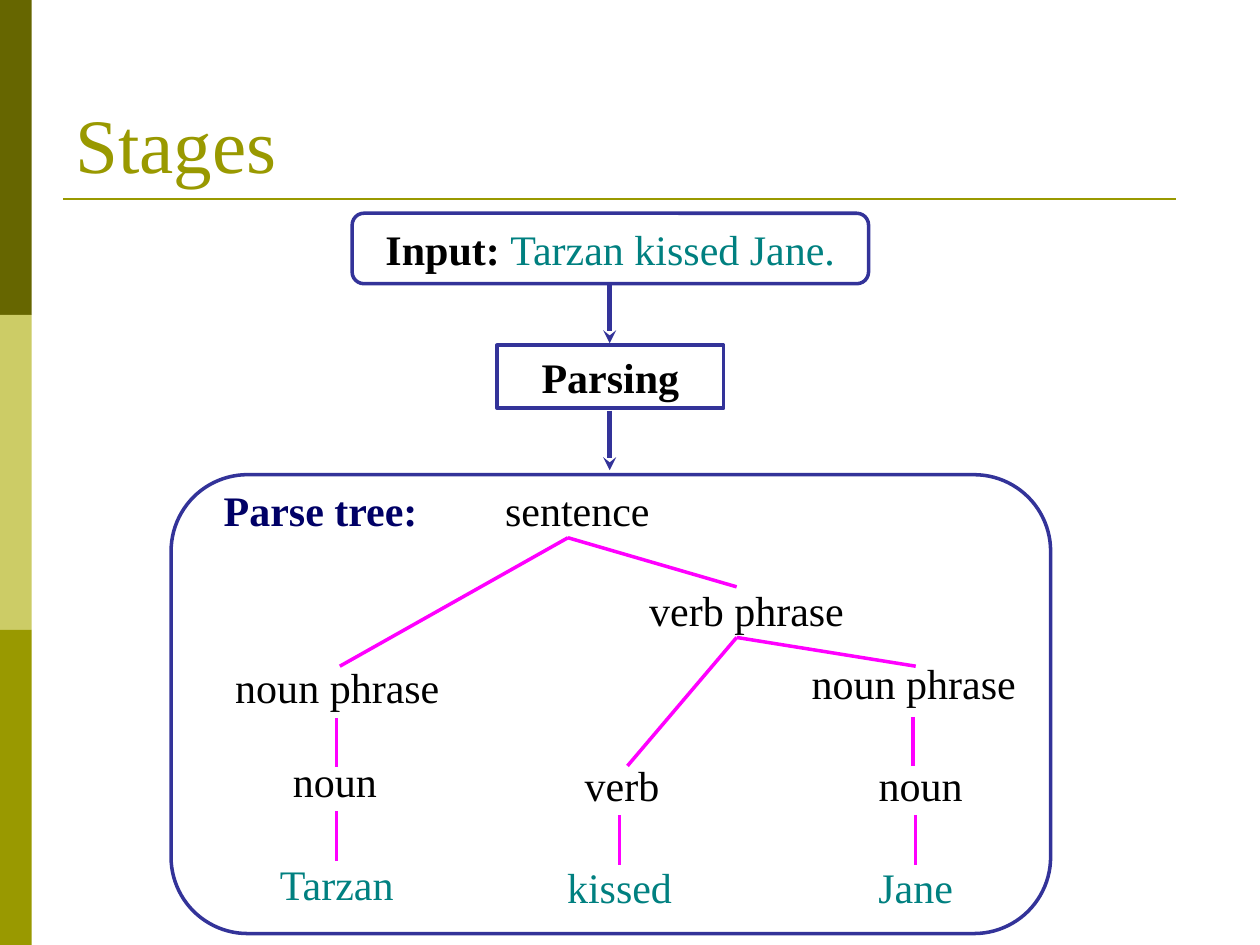
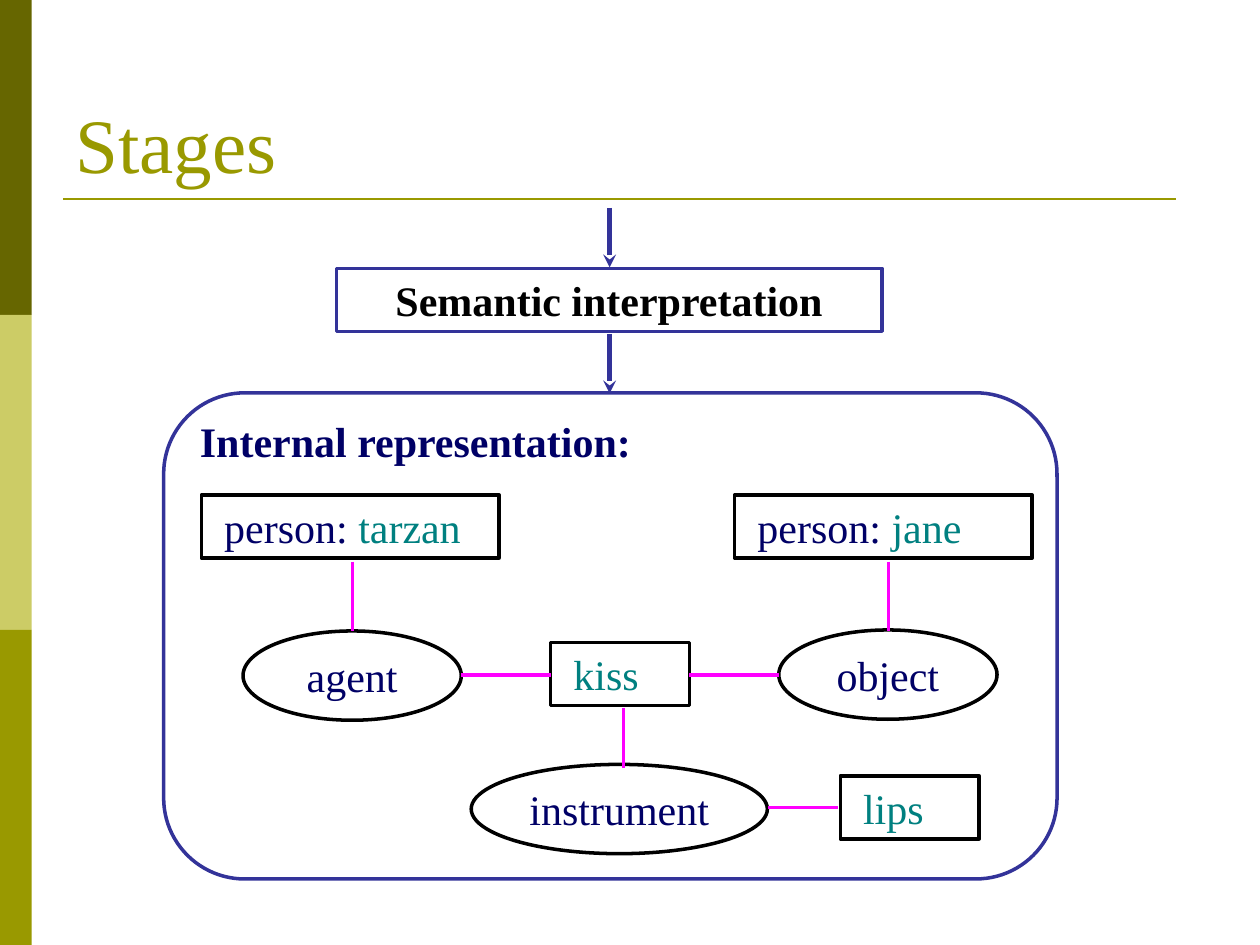
from pptx import Presentation
from pptx.dml.color import RGBColor
from pptx.enum.shapes import MSO_CONNECTOR as LINK, MSO_SHAPE as SHAPE
from pptx.enum.text import MSO_ANCHOR as ANCHOR, PP_ALIGN as ALIGN
from pptx.oxml.ns import qn
from pptx.util import Cm, Pt
from lxml.etree import SubElement

FONT = "Times New Roman"
INK = {
    "dark": "666600", "pale": "CCCC66", "olive": "999900",
    "black": "000000", "teal": "008080", "navy": "000066",
    "frame": "333399", "branch": "FF00FF",
}
MID = 12.29   # x of the flow arrows
ROW = 1.27    # height of a one-line box
DROP = 1.2    # length of a flow arrow


def color(name):
    return RGBColor.from_string(INK[name])


def write(shape, runs, align=ALIGN.CENTER, size=24, anchor=ANCHOR.MIDDLE,
          left=0.25, wrap=True):
    """Fill a shape with one paragraph of (text, ink, bold) runs."""
    frame = shape.text_frame
    frame.word_wrap = wrap
    frame.vertical_anchor = anchor
    frame.margin_left, frame.margin_right = Cm(left), Cm(0.25)
    frame.margin_top = frame.margin_bottom = Cm(0.13)
    par = frame.paragraphs[0]
    par.alignment = align
    for text, ink, bold in runs:
        run = par.add_run()
        run.text = text
        font = run.font
        font.name, font.size, font.bold = FONT, Pt(size), bold
        font.color.rgb = color(ink)


def label(slide, box, runs, **style):
    shape = slide.shapes.add_textbox(*map(Cm, box))
    write(shape, runs, **style)


def outline(slide, kind, box, ink="frame", runs=(), **style):
    shape = slide.shapes.add_shape(kind, *map(Cm, box))
    shape.shadow.inherit = False
    shape.fill.background()
    shape.line.color.rgb = color(ink)
    shape.line.width = Pt(2)
    if runs:
        write(shape, runs, **style)


def link(slide, start, end, ink="branch", width=2, arrow=False):
    line = slide.shapes.add_connector(LINK.STRAIGHT, *map(Cm, (*start, *end)))
    line.line.color.rgb = color(ink)
    line.line.width = Pt(width)
    if arrow:
        SubElement(line.line._get_or_add_ln(), qn("a:tailEnd"), type="stealth")
    SubElement(line._element.spPr, qn("a:effectLst"))


def flow(slide, top):
    link(slide, (MID, top), (MID, top + DROP), "frame", 2.5, arrow=True)


def base(deck, title):
    """Add a slide with the side bands, title and rule."""
    slide = deck.slides.add_slide(deck.slide_layouts[6])
    high = 19.05 / 3
    for i, ink in enumerate(("dark", "pale", "olive")):
        band = slide.shapes.add_shape(
            SHAPE.RECTANGLE, 0, Cm(i * high), Cm(0.64), Cm(high))
        band.shadow.inherit = False
        band.fill.solid()
        band.fill.fore_color.rgb = color(ink)
        band.line.fill.background()
    link(slide, (1.27, 4.01), (23.7, 4.01), "olive", 1.5)
    label(slide, (1.27, 0.76, 22.86, 3.18), [(title, "olive", False)],
          align=ALIGN.LEFT, size=44, anchor=ANCHOR.BOTTOM)
    return slide


def tree(slide, box):
    """Draw the parse tree inside its frame."""
    x, y = box[:2]
    outline(slide, SHAPE.ROUNDED_RECTANGLE, box)
    label(slide, (x + 0.81, y + 0.08, 4.8, ROW),
          [("Parse tree:", "navy", True)], align=ALIGN.LEFT)

    # Nodes: text, centre, top, ink
    nodes = [
        ("sentence", 8.19, 0.08, "black"),
        ("verb phrase", 11.6, 2.08, "black"),
        ("noun phrase", 14.97, 3.56, "black"),
        ("noun phrase", 3.35, 3.63, "black"),
        ("verb", 9.09, 5.61, "black"),
        ("noun", 15.11, 5.61, "black"),
        ("noun", 3.3, 5.54, "black"),
        ("Tarzan", 3.34, 7.62, "teal"),
        ("kissed", 9.04, 7.67, "teal"),
        ("Jane", 15.01, 7.67, "teal"),
    ]
    for text, mid, top, ink in nodes:
        wide = 5.2 if "phrase" in text else 3.6
        label(slide, (x + mid - wide / 2, y + top, wide, ROW),
              [(text, ink, False)])

    # Forks: apex, then the ends of its two branches
    forks = [
        ((8, 1.27), (3.4, 3.86), (11.4, 2.26)),
        ((11.4, 3.28), (9.2, 5.87), (15.01, 3.86)),
    ]
    for apex, *ends in forks:
        for end in ends:
            link(slide, (x + apex[0], y + apex[1]), (x + end[0], y + end[1]))

    # Stems: equal upright lines
    stems = [(3.33, 4.9), (3.33, 6.78), (9.04, 6.86),
             (14.96, 4.88), (15.01, 6.86)]
    for mid, top in stems:
        link(slide, (x + mid, y + top), (x + mid, y + top + 1))


def graph(slide, box):
    """Draw the internal representation inside its frame."""
    x, y = box[:2]
    outline(slide, SHAPE.ROUNDED_RECTANGLE, box)
    label(slide, (x + 0.48, y + 0.33, 9.86, ROW),
          [("Internal representation:", "navy", True)], align=ALIGN.LEFT)

    # Concepts: kind, name, left, top, width
    things = [
        ("person: ", "tarzan", 0.76, 2.06, 6),
        ("person: ", "jane", 11.51, 2.06, 6),
        ("", "kiss", 7.8, 5.03, 2.8),
        ("", "lips", 13.64, 7.72, 2.8),
    ]
    for kind, name, left, top, wide in things:
        runs = [(kind, "navy", False)] if kind else []
        outline(slide, SHAPE.RECTANGLE, (x + left, y + top, wide, ROW),
                "black", runs + [(name, "teal", False)],
                align=ALIGN.LEFT, left=0.46)

    # Roles: name, left, top, width
    roles = [("agent", 1.6, 4.8, 4.4), ("object", 12.4, 4.78, 4.4),
             ("instrument", 6.2, 7.49, 5.97)]
    for name, left, top, wide in roles:
        outline(slide, SHAPE.OVAL, (x + left, y + top, wide, 1.8),
                "black", [(name, "navy", False)], wrap=False)

    # Links: start and end
    ties = [
        (3.81, 3.4, 3.81, 4.8), (14.61, 3.4, 14.61, 4.8),
        (6, 5.69, 7.8, 5.69), (10.6, 5.69, 12.4, 5.69),
        (9.27, 6.35, 9.27, 7.57), (12.19, 8.36, 13.59, 8.36),
    ]
    for x1, y1, x2, y2 in ties:
        link(slide, (x + x1, y + y1), (x + x2, y + y2))


def parsing(deck):
    slide = base(deck, "Stages")
    outline(slide, SHAPE.ROUNDED_RECTANGLE, (7.1, 4.3, 10.41, 1.42),
            runs=[("Input: ", "black", True),
                  ("Tarzan kissed Jane.", "teal", False)])
    flow(slide, 5.72)
    outline(slide, SHAPE.RECTANGLE, (10.02, 6.96, 4.57, ROW),
            runs=[("Parsing", "black", True)])
    flow(slide, 8.28)
    tree(slide, (3.45, 9.57, 17.73, 9.25))


def meaning(deck):
    slide = base(deck, "Stages")
    flow(slide, 4.19)
    outline(slide, SHAPE.RECTANGLE, (6.78, 5.41, 11, ROW),
            runs=[("Semantic interpretation", "black", True)])
    flow(slide, 6.73)
    graph(slide, (3.3, 7.92, 18.01, 9.8))


def main():
    deck = Presentation()
    deck.slide_width, deck.slide_height = Cm(25.4), Cm(19.05)
    parsing(deck)
    meaning(deck)
    deck.save("out.pptx")


if __name__ == "__main__":
    main()
